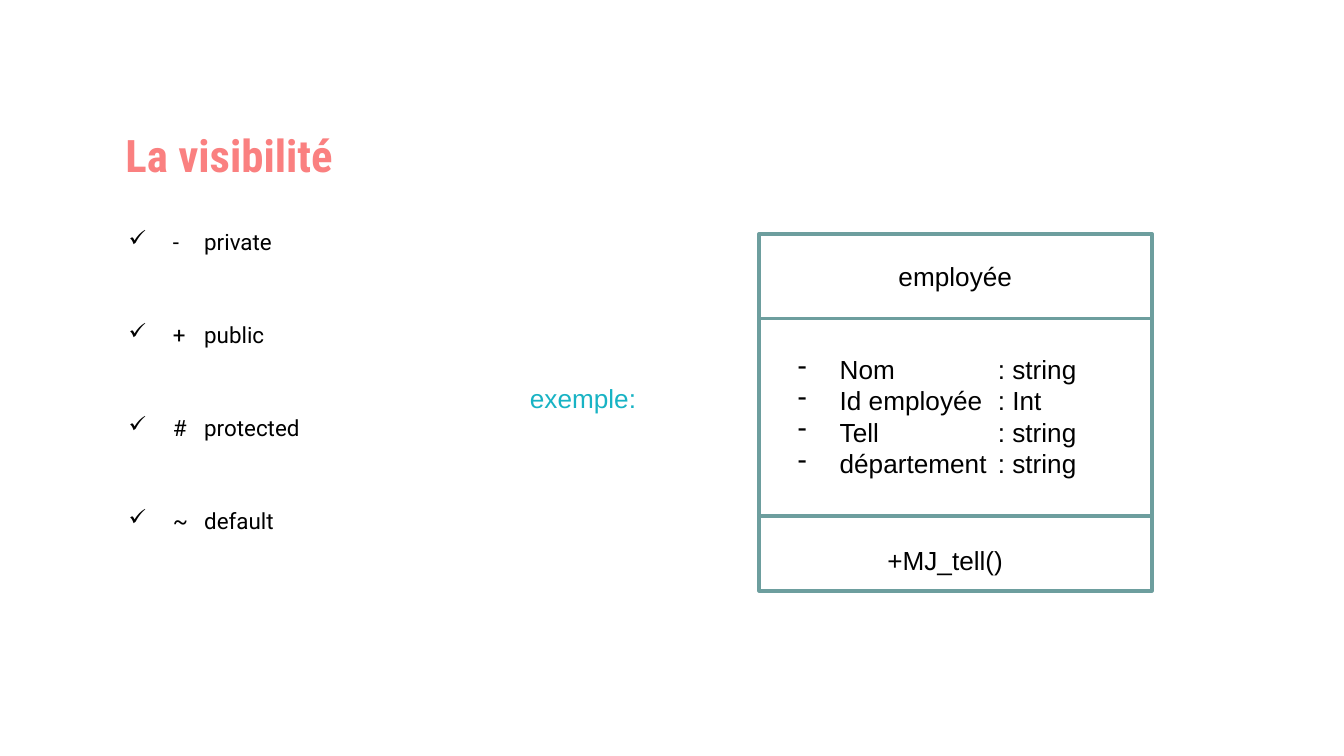
"""Build a slide on UML member visibility with an example class."""
from lxml import etree
from pptx import Presentation
from pptx.dml.color import RGBColor
from pptx.enum import shapes, text
from pptx.oxml import ns
from pptx.util import Cm, Pt

VISIBILITY = [("-", "private"), ("+", "public"), ("#", "protected"), ("~", "default")]
ATTRIBUTES = [("Nom", ": string"), ("Id employée", ": Int"),
              ("Tell", ": string"), ("département", ": string")]
SYMBOLS, KEYWORDS = zip(*VISIBILITY)
NAMES, TYPES = zip(*ATTRIBUTES)

TITLE = {"name": "Roboto Condensed", "size": Pt(24), "bold": True}
LIST = {"name": "Roboto", "size": Pt(12)}
BODY = {"name": "Arial", "size": Pt(14)}
CENTER = {"alignment": text.PP_ALIGN.CENTER}
SPREAD = {"line_spacing": 1.15, "space_before": Pt(33.3)}
CHECK = ("✓", 1.27, 0.84)
DASH = ("-", 0.79, 0.79)

TEXTS = [
    (["La visibilité"], (0.43, 1.57, 7.8, 2.11), TITLE, "FA8080", CENTER, None, 0.25),
    (SYMBOLS, (1.75, 3.99, 2.6, 8.84), LIST, "000000", SPREAD, CHECK, 0.25),
    (KEYWORDS, (3.61, 3.99, 4, 8.84), LIST, "000000", SPREAD, None, 0.25),
    (["exemple:"], (9.09, 7.09, 3.86, 0.86), BODY, "18B3C4", CENTER, None, 0.13),
    (["employée"], (16.38, 4.8, 3.35, 0.86), BODY, "000000", CENTER, None, 0.13),
    (NAMES, (14.83, 6.55, 4.3, 2.64), BODY, "000000", {}, DASH, 0.13),
    (TYPES, (18.61, 6.55, 2.6, 2.64), BODY, "000000", {}, None, 0.13),
    (["+MJ_tell()"], (16.38, 10.16, 2.97, 0.86), BODY, "000000", CENTER, None, 0.13),
]
CLASS_LEFT, CLASS_TOP, CLASS_WIDTH = 14.35, 4.42, 7.42
CLASS_HEIGHTS = [1.6, 3.73, 1.42]


def color(value):
    return RGBColor.from_string(value)


def apply(target, values):
    for key, value in values.items():
        setattr(target, key, value)


def add_bullet(para, mark, margin, hanging):
    props = para._p.get_or_add_pPr()
    props.set("marL", str(Cm(margin)))
    props.set("indent", str(-Cm(hanging)))
    tint = etree.SubElement(props, ns.qn("a:buClr"))
    etree.SubElement(tint, ns.qn("a:srgbClr"), val="000000")
    etree.SubElement(props, ns.qn("a:buChar"), char=mark)


def add_text(page, lines, place, font, tint, layout, bullet, inset):
    box = page.shapes.add_textbox(*map(Cm, place))
    frame = box.text_frame
    apply(frame, {"word_wrap": True, "margin_left": Cm(0.25), "margin_right": Cm(0.25),
                  "margin_top": Cm(inset), "margin_bottom": Cm(inset)})
    if font is TITLE:
        frame.vertical_anchor = text.MSO_ANCHOR.BOTTOM
    for index, line in enumerate(lines):
        para = frame.add_paragraph() if index else frame.paragraphs[0]
        if bullet:
            add_bullet(para, *bullet)
        apply(para, layout)
        if not index:
            para.space_before = Pt(0)
        span = para.add_run()
        span.text = line
        apply(span.font, font)
        span.font.color.rgb = color(tint)


def add_class(page):
    top = CLASS_TOP
    for height in CLASS_HEIGHTS:
        part = page.shapes.add_shape(shapes.MSO_SHAPE.RECTANGLE, Cm(CLASS_LEFT), Cm(top),
                                     Cm(CLASS_WIDTH), Cm(height))
        part.shadow.inherit = False
        part.fill.background()
        part.line.color.rgb = color("6D9E9E")
        part.line.width = Pt(2)
        top += height


def main():
    deck = Presentation()
    apply(deck, {"slide_width": Cm(25.4), "slide_height": Cm(14.29)})
    page = deck.slides.add_slide(deck.slide_layouts[6])
    add_class(page)
    for item in TEXTS:
        add_text(page, *item)
    deck.save("out.pptx")


if __name__ == "__main__":
    main()
